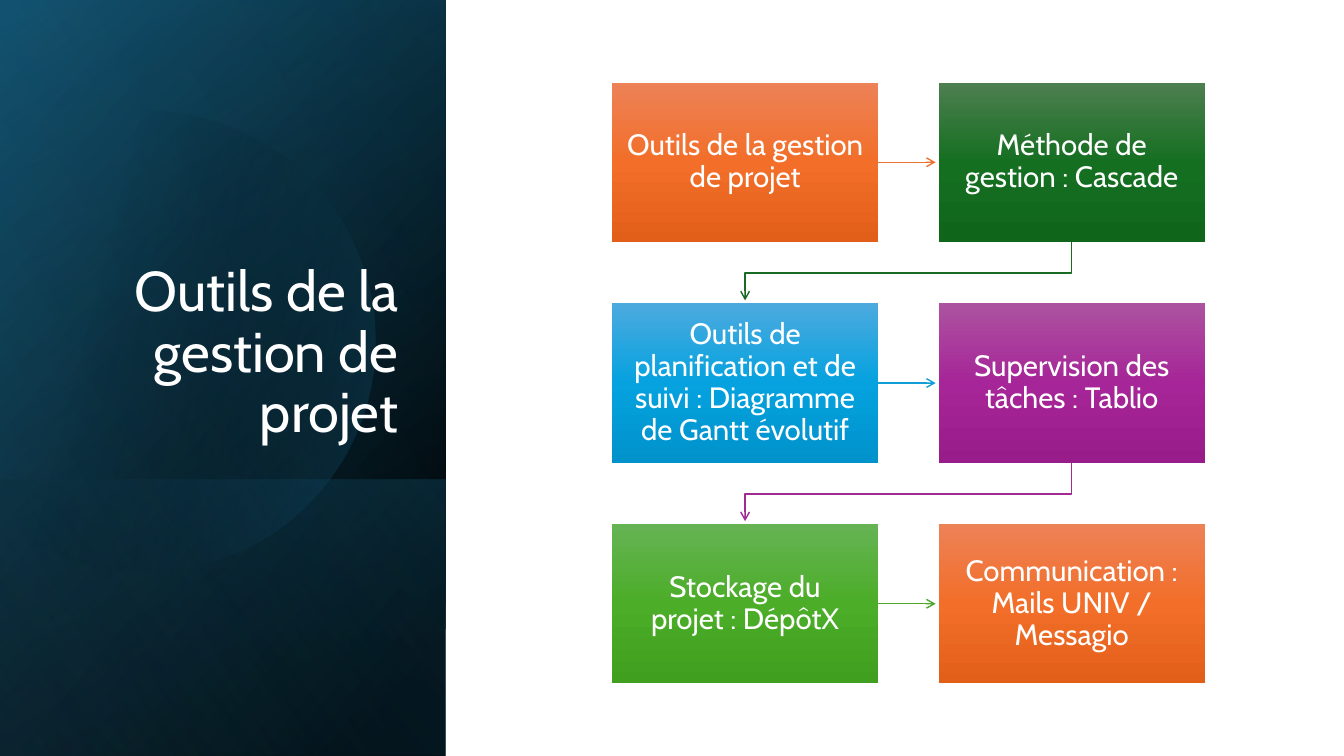
from dataclasses import dataclass

from pptx import Presentation
from pptx.dml.color import RGBColor
from pptx.enum.shapes import MSO_CONNECTOR, MSO_SHAPE
from pptx.enum.text import MSO_ANCHOR, PP_ALIGN
from pptx.oxml import parse_xml
from pptx.oxml.ns import nsdecls
from pptx.util import Inches, Pt

SLIDE_WIDTH, SLIDE_HEIGHT = 13.33, 7.5
PANEL_WIDTH = 4.42
FONT = "Cabin"
UNITS_PER_INCH = 1000

# Grid of the flow chart, in inches
GRID_LEFT, GRID_TOP = 6.07, 0.82
COLUMN_STEP, ROW_STEP = 3.24, 2.19
BOX_WIDTH, BOX_HEIGHT = 2.64, 1.58
ARROW_GAP = 0.03
ELBOW_DROP = 0.31

Point = tuple[float, float]


@dataclass(frozen=True)
class Stop:
    position: int
    color: str
    opacity: int = 100


@dataclass(frozen=True)
class PanelLayer:
    height: float
    angle: int
    stops: tuple[Stop, ...]


@dataclass(frozen=True)
class Theme:
    line: str
    top: str
    middle: str
    bottom: str


@dataclass(frozen=True)
class Step:
    text: str
    theme: Theme


ORANGE = Theme("E97132", "ED8257", "F26E29", "E25F1A")
DARK_GREEN = Theme("196B24", "4D7E50", "156F21", "0F661B")
BLUE = Theme("0F9ED5", "4CAADF", "05A2DF", "0092CB")
PURPLE = Theme("A02B93", "AC53A0", "A62598", "991C8B")
GREEN = Theme("4EA72E", "66B354", "4BAD28", "409F1E")

STEPS = [
    Step("Outils de la gestion de projet", ORANGE),
    Step("Méthode de gestion : Cascade", DARK_GREEN),
    Step("Outils de planification et de suivi : Diagramme de Gantt évolutif", BLUE),
    Step("Supervision des tâches : Tablio", PURPLE),
    Step("Stockage du projet : DépôtX", GREEN),
    Step("Communication : Mails UNIV / Messagio", ORANGE),
]

BASE_LAYERS = [
    PanelLayer(SLIDE_HEIGHT, 50, (Stop(8, "000000"), Stop(100, "104862"))),
    PanelLayer(SLIDE_HEIGHT, 30, (Stop(0, "000000", 0), Stop(99, "156082", 46))),
    PanelLayer(2.74, 130, (Stop(2, "156082", 29), Stop(100, "000000", 30))),
]
TOP_LAYER = PanelLayer(SLIDE_HEIGHT, 120, (Stop(0, "000000", 0), Stop(99, "46B1E1", 11)))

# Disc cut off at the left; each row of the arc is two Bézier controls and an end
DISC_START = [(-0.15, 1.75), (0, 1.61)]
DISC_ARC = [
    (0.23, 1.42), (0.5, 1.28), (0.8, 1.19),
    (1.03, 1.13), (1.26, 1.1), (1.49, 1.1),
    (2.46, 1.12), (3.35, 1.77), (3.63, 2.75),
    (3.98, 3.97), (3.28, 5.23), (2.07, 5.58),
    (1.31, 5.8), (0.53, 5.61), (-0.03, 5.14),
]
DISC_END = [(-0.15, 5.03)]


def color(value: str) -> RGBColor:
    return RGBColor.from_string(value)


def fill_gradient(shape, stops: tuple[Stop, ...], angle: int) -> None:
    stop_xml = "".join(
        f'<a:gs pos="{stop.position * 1000}"><a:srgbClr val="{color(stop.color)}">'
        f'<a:alpha val="{stop.opacity * 1000}"/></a:srgbClr></a:gs>'
        for stop in stops
    )
    gradient = parse_xml(
        f'<a:gradFill {nsdecls("a")} rotWithShape="1"><a:gsLst>{stop_xml}</a:gsLst>'
        f'<a:lin ang="{angle * 60000}" scaled="0"/></a:gradFill>'
    )
    shape.fill.background()
    properties = shape._element.spPr
    properties.replace(properties.find("{*}noFill"), gradient)
    shape.line.fill.background()
    shape.shadow.inherit = False


def write_text(shape, text: str, size: float, alignment: PP_ALIGN, anchor: MSO_ANCHOR) -> None:
    frame = shape.text_frame
    frame.text = text
    frame.word_wrap = True
    frame.vertical_anchor = anchor
    paragraph = frame.paragraphs[0]
    paragraph.alignment = alignment
    paragraph.line_spacing = 0.9
    font = paragraph.runs[0].font
    font.name, font.size = FONT, Pt(size)
    font.color.rgb = color("FFFFFF")


def add_panel_layer(slide, layer: PanelLayer) -> None:
    # Turned by a quarter, so its width runs down the slide
    center_x, center_y = PANEL_WIDTH / 2, SLIDE_HEIGHT - layer.height / 2
    shape = slide.shapes.add_shape(
        MSO_SHAPE.RECTANGLE,
        Inches(center_x - layer.height / 2), Inches(center_y - PANEL_WIDTH / 2),
        Inches(layer.height), Inches(PANEL_WIDTH),
    )
    shape.rotation = 90
    shape._element.spPr.xfrm.set("flipH", "1")
    fill_gradient(shape, layer.stops, layer.angle)


def add_outline(slide, points: list[Point], close: bool):
    units = [(round(x * UNITS_PER_INCH), round(y * UNITS_PER_INCH)) for x, y in points]
    builder = slide.shapes.build_freeform(*units[0], scale=Inches(1) / UNITS_PER_INCH)
    builder.add_line_segments(units[1:], close=close)
    shape = builder.convert_to_shape()
    shape.shadow.inherit = False
    return shape


def add_disc(slide) -> None:
    disc = add_outline(slide, DISC_START + DISC_ARC + DISC_END, close=True)
    # Join each three points of the arc into one curve
    lines = disc._element.spPr.findall(".//{*}lnTo")
    for first in range(1, 1 + len(DISC_ARC), 3):
        curve = parse_xml(f'<a:cubicBezTo {nsdecls("a")}/>')
        lines[first].addprevious(curve)
        for line in lines[first:first + 3]:
            curve.append(line[0])
            line.getparent().remove(line)
    fill_gradient(disc, (Stop(29, "000000", 0), Stop(100, "156082", 43)), 14)


def style_arrow(shape, line_color: str) -> None:
    shape.line.color.rgb = color(line_color)
    shape.line.width = Pt(1)
    line = shape._element.spPr.find("{*}ln")
    line.append(parse_xml(f'<a:tailEnd {nsdecls("a")} type="arrow"/>'))


def add_straight_arrow(slide, left: float, top: float, line_color: str) -> None:
    y = Inches(top + BOX_HEIGHT / 2)
    arrow = slide.shapes.add_connector(
        MSO_CONNECTOR.STRAIGHT,
        Inches(left + BOX_WIDTH), y, Inches(left + COLUMN_STEP - ARROW_GAP), y,
    )
    style_arrow(arrow, line_color)
    arrow._element.spPr.append(parse_xml(f'<a:effectLst {nsdecls("a")}/>'))


def add_elbow_arrow(slide, left: float, top: float, line_color: str) -> None:
    start_x, start_y = left + BOX_WIDTH / 2, top + BOX_HEIGHT
    end_x, turn_y = start_x - COLUMN_STEP, start_y + ELBOW_DROP
    end_y = top + ROW_STEP - ARROW_GAP
    points = [(start_x, start_y), (start_x, turn_y), (end_x, turn_y), (end_x, end_y)]
    arrow = add_outline(slide, points, close=False)
    arrow.fill.background()
    style_arrow(arrow, line_color)


def add_step(slide, index: int, step: Step) -> None:
    row, column = divmod(index, 2)
    left, top = GRID_LEFT + column * COLUMN_STEP, GRID_TOP + row * ROW_STEP
    theme = step.theme
    if index < len(STEPS) - 1:
        add_arrow = add_elbow_arrow if column else add_straight_arrow
        add_arrow(slide, left, top, theme.line)
    box = slide.shapes.add_shape(
        MSO_SHAPE.RECTANGLE, Inches(left), Inches(top), Inches(BOX_WIDTH), Inches(BOX_HEIGHT))
    fill_gradient(box, (Stop(0, theme.top), Stop(50, theme.middle), Stop(100, theme.bottom)), 90)
    write_text(box, step.text, 21, PP_ALIGN.CENTER, MSO_ANCHOR.MIDDLE)
    frame = box.text_frame
    frame.margin_left = frame.margin_right = Inches(0.13)
    frame.margin_top = frame.margin_bottom = Inches(0.14)


def main() -> None:
    presentation = Presentation()
    presentation.slide_width, presentation.slide_height = Inches(SLIDE_WIDTH), Inches(SLIDE_HEIGHT)
    slide = presentation.slides.add_slide(presentation.slide_layouts[6])

    # Dark panel with its disc
    for layer in BASE_LAYERS:
        add_panel_layer(slide, layer)
    add_disc(slide)
    add_panel_layer(slide, TOP_LAYER)

    # Title
    title = slide.shapes.add_textbox(Inches(0.64), Inches(1.84), Inches(3.41), Inches(2.62))
    write_text(title, "Outils de la gestion de projet", 40, PP_ALIGN.RIGHT, MSO_ANCHOR.BOTTOM)

    # Flow chart
    for index, step in enumerate(STEPS):
        add_step(slide, index, step)
    presentation.save("out.pptx")


if __name__ == "__main__":
    main()
